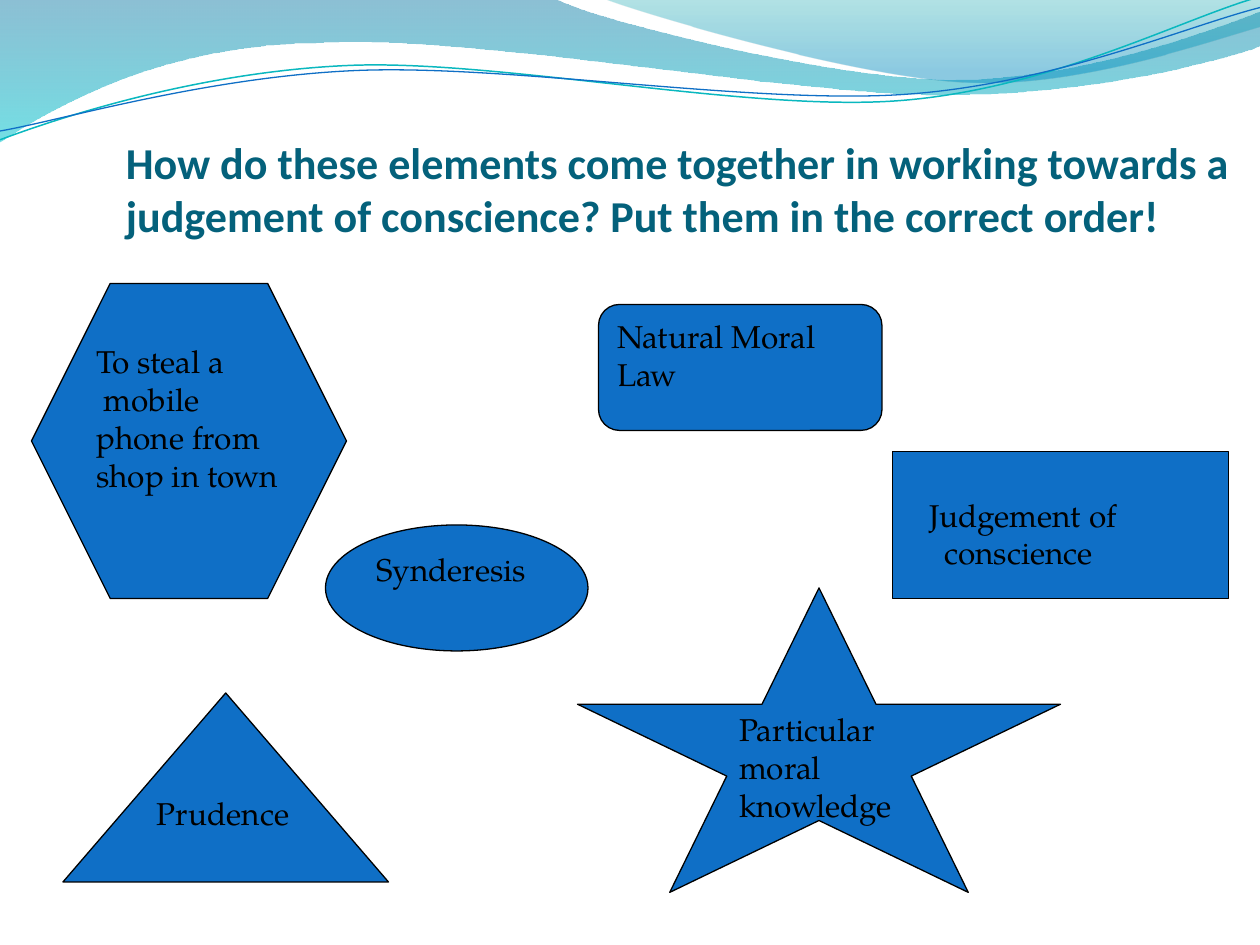
from lxml.etree import SubElement
from pptx import Presentation
from pptx.dml.color import RGBColor
from pptx.enum.shapes import MSO_SHAPE as SHAPE
from pptx.enum.text import MSO_ANCHOR as ANCHOR, PP_ALIGN as ALIGN
from pptx.oxml.ns import qn
from pptx.util import Emu, Inches, Pt

CELL = Inches(1) // 12
BLUE, BLACK, TEAL = "0F6FC6", "000000", "04617B"
SERIF = "TeX Gyre Pagella"


def rgb(value):
    return RGBColor.from_string(value)


def grid(*cells):
    return [Emu(n * CELL) for n in cells]


def write(sp, lines, font=SERIF, size=18, color=BLACK, bold=False,
          anchor=ANCHOR.TOP, insets=(0.1, 0.05, 0.1, 0.05), indents=()):
    tf = sp.text_frame
    tf.word_wrap = True
    tf.vertical_anchor = anchor
    (tf.margin_left, tf.margin_top,
     tf.margin_right, tf.margin_bottom) = map(Inches, insets)
    for i, line in enumerate(lines):
        p = tf.paragraphs[0] if i == 0 else tf.add_paragraph()
        p.alignment = ALIGN.LEFT
        if i < len(indents):
            p._p.get_or_add_pPr().set("marL", str(Inches(indents[i])))
        r = p.add_run()
        r.text = line
        r.font.name, r.font.size, r.font.bold = font, Pt(size), bold
        r.font.color.rgb = rgb(color)


def add_card(s, kind, cells, lines, **fmt):
    sp = s.shapes.add_shape(kind, *grid(*cells))
    sp.shadow.inherit = False
    sp.fill.solid()
    sp.fill.fore_color.rgb = rgb(BLUE)
    sp.line.color.rgb = rgb(BLACK)
    sp.line.width = Pt(0.75)
    write(sp, lines, **fmt)


def add_outline(s, start, segments, close):
    points = [(Inches(x), Inches(y)) for seg in segments
              for x, y in zip(seg[::2], seg[1::2])]
    fb = s.shapes.build_freeform(*map(Inches, start), scale=1.0)
    fb.add_line_segments(points, close=close)
    sp = fb.convert_to_shape()
    sp.shadow.inherit = False
    steps = iter(list(sp._element.spPr.iter(qn("a:lnTo"))))
    for seg in segments:
        first = next(steps)
        if len(seg) == 6:
            first.tag = qn("a:cubicBezTo")
            for step in (next(steps), next(steps)):
                first.append(step[0])
                step.getparent().remove(step)
    return sp


def add_wave(s, stops, start, *segments):
    sp = add_outline(s, start, segments, True)
    sp.line.fill.background()
    sp.fill.gradient()
    sp.fill.gradient_angle = 270
    for stop, (pos, color, _) in zip(sp.fill.gradient_stops, stops):
        stop.position = pos
        stop.color.rgb = rgb(color)
    colors = sp._element.spPr.iter(qn("a:srgbClr"))
    for clr, (_, _, alpha) in zip(colors, stops):
        SubElement(clr, qn("a:alpha")).set("val", str(alpha * 1000))


def add_strand(s, color, width, start, *segments):
    sp = add_outline(s, start, segments, False)
    sp.fill.background()
    sp.line.color.rgb = rgb(color)
    sp.line.width = Pt(width)


def add_header(s):
    add_wave(s, [(0, "0074A1", 45), (1, "00C6CF", 55)],
             (0, -0.01), (4.4, -0.01),
             (4.76, 0.17, 6.64, 0.63, 7.58, 0.63),
             (8.53, 0.63, 9.58, 0.26, 10, 0.09), (10.01, 0.36),
             (9.83, 0.44, 8.7, 0.76, 7.46, 0.75),
             (6.22, 0.75, 3.82, 0.28, 2.57, 0.34),
             (1.29, 0.35, 0.46, 0.83, -0.01, 1.13))
    add_wave(s, [(0, "00A1A9", 30), (0.8, "008BBF", 45)],
             (4.79, -0.01), (5.09, 0.11, 6.82, 0.62, 7.69, 0.65),
             (8.56, 0.69, 9.61, 0.32, 10, 0.21), (10, 0))
    add_strand(s, "0AB8BF", 0.85,
               (0, 1.11), (0.48, 0.93, 1.58, 0.57, 2.77, 0.52),
               (3.95, 0.47, 5.93, 0.89, 7.13, 0.8),
               (8.33, 0.71, 9.38, 0.15, 9.98, -0.02))
    add_strand(s, BLUE, 0.75,
               (0, 1.04), (0.47, 0.96, 1.64, 0.61, 2.83, 0.56),
               (4.03, 0.51, 5.97, 0.83, 7.17, 0.75),
               (8.36, 0.67, 9.41, 0.21, 10, 0.06))


def main():
    prs = Presentation()
    prs.slide_width, prs.slide_height = grid(120, 90)
    s = prs.slides.add_slide(prs.slide_layouts[6])
    add_header(s)
    title = s.shapes.add_textbox(*grid(12, 6, 108, 17))
    write(title, ["How do these elements come together in working towards a "
                  "judgement of conscience? Put them in the correct order!"],
          font="Calibri", size=25.2, color=TEAL, bold=True,
          anchor=ANCHOR.BOTTOM, insets=(0, 0.05, 0, 0))
    add_card(s, SHAPE.OVAL, (31, 50, 25, 12), ["Synderesis"])
    add_card(s, SHAPE.ROUNDED_RECTANGLE, (57, 29, 27, 12),
             ["Natural Moral Law"])
    add_card(s, SHAPE.STAR_5_POINT, (55, 56, 46, 29),
             ["Particular", "moral", "knowledge"])
    add_card(s, SHAPE.ISOSCELES_TRIANGLE, (6, 66, 31, 18), ["Prudence"])
    add_card(s, SHAPE.RECTANGLE, (85, 43, 32, 14),
             ["Judgement of", "conscience"],
             insets=(0.29, 0.35, 0.1, 0.05), indents=(0, 0.12))
    add_card(s, SHAPE.HEXAGON, (3, 27, 30, 30),
             ["To steal a", "mobile", "phone from", "shop in town"],
             indents=(0, 0.06))
    prs.save("out.pptx")


if __name__ == "__main__":
    main()
